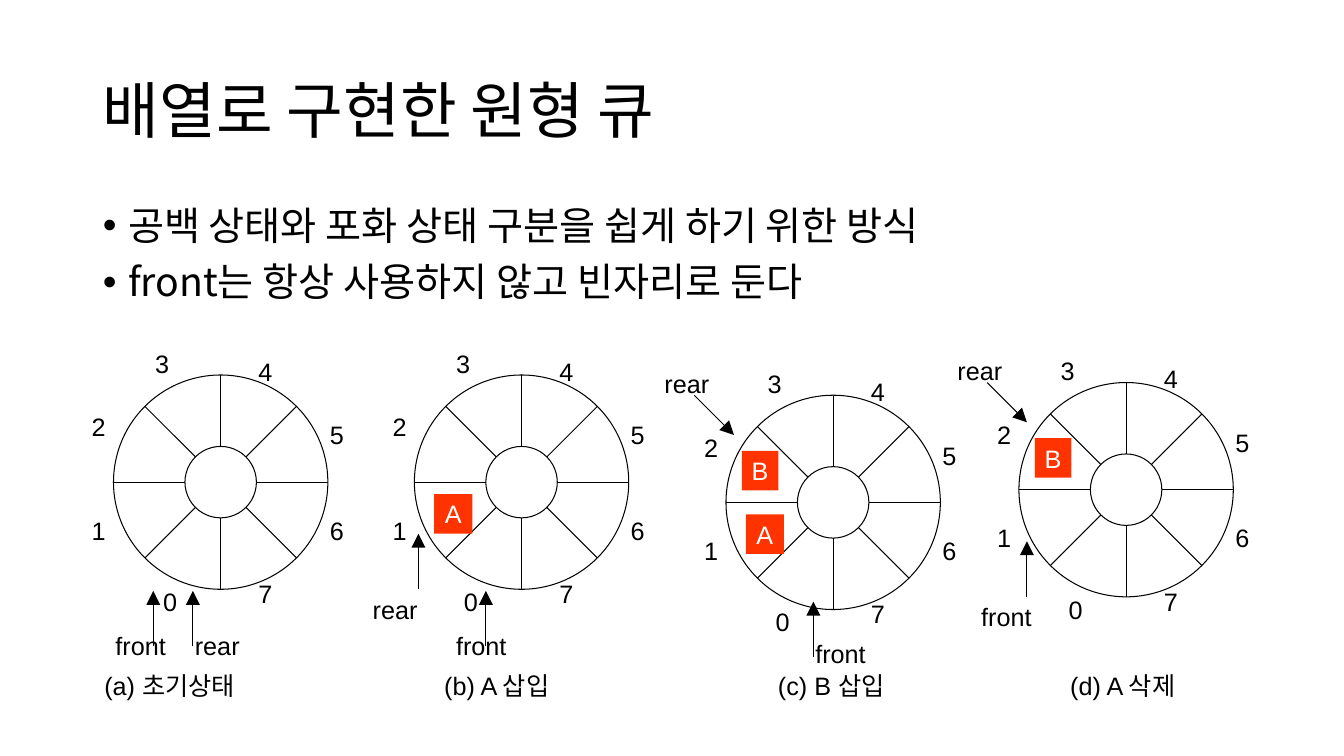
import math
from lxml import etree
from pptx import Presentation, util as u
from pptx.dml.color import RGBColor
from pptx.enum import shapes, text
from pptx.oxml import ns

COLORS = {"ink": "000000", "block": "FF3300", "block_text": "FFFFFF"}
LATIN, KOREAN = "Arial", "Noto Sans CJK KR"
CELL = u.Mm(2)
WHEEL, HUB = 27, 9
LABEL_HEIGHT = 5
CAPTION_ROW = 83.8
SLOT_LABELS = [(5, 26), (-4, 17), (-4, 4), (4, -4), (17, -3), (26, 5), (26, 17), (17, 25)]
LABEL_WIDTH = 10
BLOCKS = {"A": (2.5, 15, 4.8), "B": (2, 7, 4.6)}

STATES = [
    dict(origin=(14.3, 47.25), blocks="", caption=("(a) 초기상태 ", -2.4, 21.3),
         pointers=[("front", (-1, 31.6), (5, 34.2), (5, 27.2)),
                   ("rear", (9, 31.6), (10, 34.2), (10, 27.2))]),
    dict(origin=(52.2, 47.25), blocks="A", caption=("(b) A 삽입", 2.5, 19),
         pointers=[("front", (4, 31.6), (9, 34.2), (9, 27.2)),
                   ("rear", (-6.5, 27), (0.5, 27), (0.5, 20))]),
    dict(origin=(91.45, 49.8), blocks="AB", caption=("(c) B 삽입", 5.3, 16),
         pointers=[("front", (10, 30), (11, 33), (11, 26)),
                   ("rear", (-9, -4), (-4, 0), (1, 5))]),
    dict(origin=(128.35, 48.2), blocks="B", caption=("(d) A 삭제", 5.2, 19),
         pointers=[("front", (-6, 27), (1, 27), (1, 20)),
                   ("rear", (-9, -4), (-4, 0), (1, 5))]),
]


def cells(*counts):
    return [round(count * CELL) for count in counts]


def offset(origin, point):
    return origin[0] + point[0], origin[1] + point[1]


def rgb(name):
    return RGBColor.from_string(COLORS[name])


def write(paragraph, content, size=18, color="ink", font=LATIN):
    run = paragraph.add_run()
    run.text = content
    run.font.size = u.Pt(size)
    run.font.name = font
    run.font.color.rgb = rgb(color)
    east_asian = etree.SubElement(run._r.get_or_add_rPr(), ns.qn("a:ea"))
    east_asian.set("typeface", KOREAN)


def add_label(slide, content, position, width):
    box = slide.shapes.add_textbox(*cells(*position, width, LABEL_HEIGHT))
    box.text_frame.word_wrap = True
    write(box.text_frame.paragraphs[0], content)


def add_ring(slide, center, diameter):
    left, top = offset(center, (-diameter / 2, -diameter / 2))
    ring = slide.shapes.add_shape(shapes.MSO_SHAPE.OVAL, *cells(left, top, diameter, diameter))
    ring.shadow.inherit = False
    ring.fill.background()
    ring.line.color.rgb = rgb("ink")
    ring.line.width = u.Pt(0.75)


def add_line(slide, start, end, arrow=False):
    line = slide.shapes.add_connector(shapes.MSO_CONNECTOR.STRAIGHT, *cells(*start, *end))
    line.line.color.rgb = rgb("ink")
    line.line.width = u.Pt(0.75)
    if arrow:
        head = etree.SubElement(line.line._get_or_add_ln(), ns.qn("a:tailEnd"))
        for name, value in (("type", "triangle"), ("w", "lg"), ("len", "lg")):
            head.set(name, value)
    etree.SubElement(line._element.spPr, ns.qn("a:effectLst"))


def add_block(slide, name, origin):
    column, row, width = BLOCKS[name]
    position = offset(origin, (column, row))
    block = slide.shapes.add_shape(shapes.MSO_SHAPE.RECTANGLE, *cells(*position, width, LABEL_HEIGHT))
    block.shadow.inherit = False
    block.fill.solid()
    block.fill.fore_color.rgb = rgb("block")
    block.line.fill.background()
    block.text_frame.word_wrap = False
    paragraph = block.text_frame.paragraphs[0]
    paragraph.alignment = text.PP_ALIGN.CENTER
    write(paragraph, name, color="block_text")


def add_wheel(slide, origin):
    center = offset(origin, (WHEEL / 2, WHEEL / 2))
    for diameter in (WHEEL, HUB):
        add_ring(slide, center, diameter)
    for slot, position in enumerate(SLOT_LABELS):
        angle = slot * math.tau / len(SLOT_LABELS)
        direction = math.cos(angle), math.sin(angle)
        inner, outer = [offset(center, (direction[0] * size / 2, direction[1] * size / 2))
                        for size in (HUB, WHEEL)]
        add_line(slide, inner, outer)
        add_label(slide, str(slot), offset(origin, position), 4.5)


def add_state(slide, origin, blocks, caption, pointers):
    add_wheel(slide, origin)
    for name in blocks:
        add_block(slide, name, origin)
    for name, position, start, end in pointers:
        add_line(slide, offset(origin, start), offset(origin, end), arrow=True)
        add_label(slide, name, offset(origin, position), LABEL_WIDTH)
    content, shift, width = caption
    add_label(slide, content, (origin[0] + shift, CAPTION_ROW), width)


def fill_placeholder(shape, lines, top, height, size, anchor, bullet=False):
    shape.left, shape.width = u.Inches(0.92), u.Inches(11.5)
    shape.top, shape.height = u.Inches(top), u.Inches(height)
    frame = shape.text_frame
    frame.auto_size = text.MSO_AUTO_SIZE.NONE
    frame.vertical_anchor = anchor
    for index, content in enumerate(lines):
        paragraph = frame.add_paragraph() if index else frame.paragraphs[0]
        paragraph.alignment = text.PP_ALIGN.LEFT
        paragraph.line_spacing = 0.9
        paragraph.space_before = u.Pt(10 if bullet else 0)
        if bullet:
            properties = paragraph._p.get_or_add_pPr()
            properties.set("marL", str(u.Inches(0.25)))
            properties.set("indent", str(u.Inches(-0.25)))
            etree.SubElement(properties, ns.qn("a:buFont")).set("typeface", LATIN)
            etree.SubElement(properties, ns.qn("a:buChar")).set("char", "•")
        write(paragraph, content, size=size, font=KOREAN)


def main():
    presentation = Presentation()
    presentation.slide_width = u.Inches(13.33)
    presentation.slide_height = u.Inches(7.5)
    slide = presentation.slides.add_slide(presentation.slide_layouts[1])
    fill_placeholder(slide.shapes.title, ["배열로 구현한 원형 큐"], 0.4, 1.45, 44,
                     text.MSO_ANCHOR.MIDDLE)
    fill_placeholder(slide.placeholders[1],
                     ["공백 상태와 포화 상태 구분을 쉽게 하기 위한 방식",
                      "front는 항상 사용하지 않고 빈자리로 둔다"],
                     2, 4.76, 28, text.MSO_ANCHOR.TOP, bullet=True)
    for state in STATES:
        add_state(slide, **state)
    presentation.save("out.pptx")


main()
